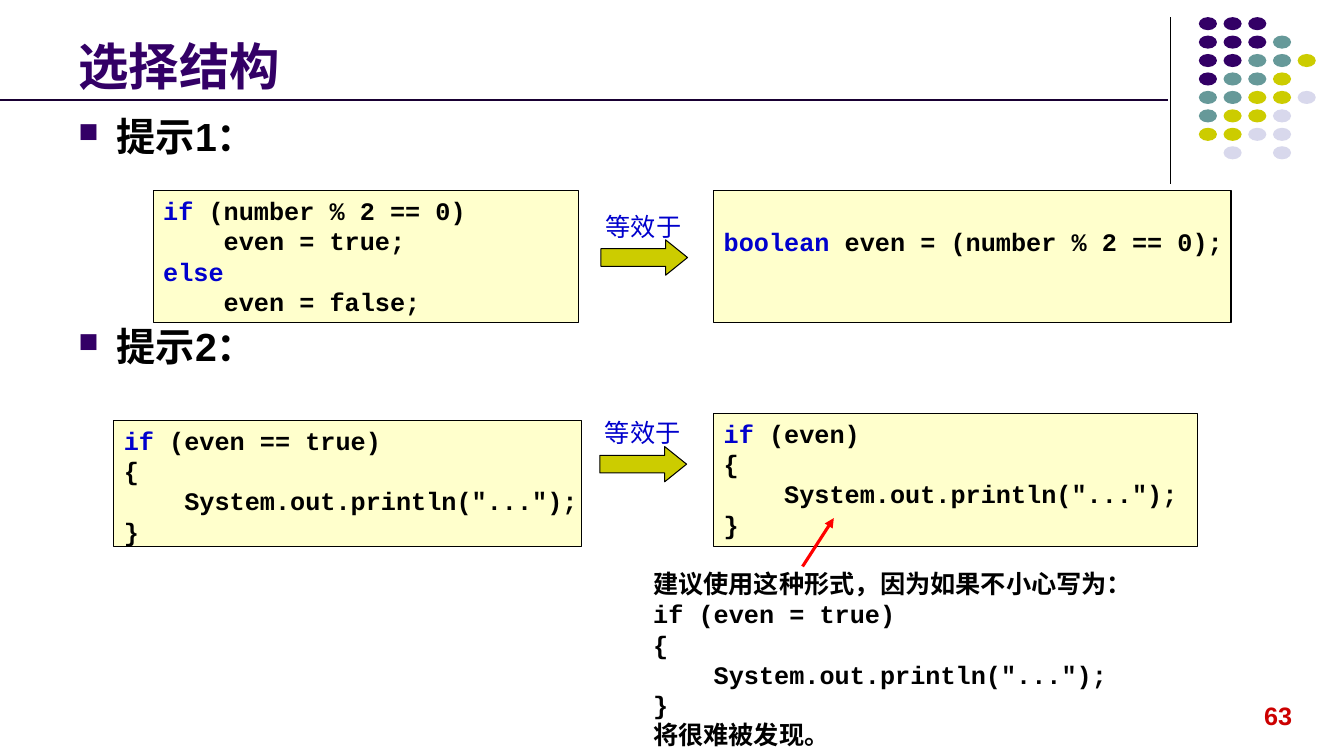
from lxml.etree import SubElement
from pptx import Presentation
from pptx.dml.color import RGBColor
from pptx.enum.shapes import MSO_CONNECTOR, MSO_SHAPE
from pptx.enum.text import MSO_ANCHOR, PP_ALIGN
from pptx.oxml.ns import qn
from pptx.util import Inches, Pt

PURPLE, TEAL, OLIVE, LILAC = "330066", "669999", "CCCC00", "D8D8EC"
BLACK, BLUE, RED, CREAM = "000000", "0000CC", "FF0000", "FFFFCC"
DOT_COLORS = {"P": PURPLE, "T": TEAL, "O": OLIVE, "L": LILAC}
DOT_ROWS = ["PPP", "PPPT", "PPTTO", "PTTO", "TTOOL", "TOOL", "OOLL", " L L"]
KEYWORDS = ("if", "else", "boolean")

HEADING = {"name": "Arial", "size": Pt(36), "bold": True, "color": PURPLE}
HINT = {"name": "Arial", "size": Pt(28), "bold": True, "color": BLACK}
CODE = {"name": "Courier New", "size": Pt(18), "bold": True, "color": BLACK}
KEYWORD = {**CODE, "color": BLUE}
REMARK = {**CODE, "name": "Arial"}
LABEL = {**REMARK, "bold": False, "color": BLUE}
PAGE = {**REMARK, "color": "CC0000"}


def rgb(value):
    return RGBColor.from_string(value)


def set_all(target, values):
    for key, value in values.items():
        setattr(target, key, value)


def highlight(line):
    """Split a code line into runs, with a leading keyword in blue."""
    word = line.split(" ")[0]
    if word not in KEYWORDS:
        return [(line, CODE)]
    rest = line[len(word):]
    return [(word, KEYWORD)] + ([(rest, CODE)] if rest else [])


class Page:
    """A slide measured in grid cells of a tenth of an inch."""

    def __init__(self, slide):
        self.shapes = slide.shapes

    def cells(self, *counts):
        return [Inches(count / 10) for count in counts]

    def fill_text(self, frame, lines, **layout):
        """Fill a frame; each line is a list of (text, format) runs."""
        set_all(frame, layout)
        for number, runs in enumerate(lines):
            paragraph = frame.add_paragraph() if number else frame.paragraphs[0]
            paragraph.alignment = PP_ALIGN.LEFT
            for text, style in runs:
                run = paragraph.add_run()
                run.text = text
                set_all(run.font, {k: v for k, v in style.items() if k != "color"})
                run.font.color.rgb = rgb(style["color"])

    def text(self, box, lines, **layout):
        frame = self.shapes.add_textbox(*self.cells(*box)).text_frame
        self.fill_text(frame, lines, **{"word_wrap": True, **layout})
        return frame

    def shape(self, preset, box, fill, outline=None):
        item = self.shapes.add_shape(preset, *self.cells(*box))
        item.shadow.inherit = False
        item.fill.solid()
        item.fill.fore_color.rgb = rgb(fill)
        if outline:
            item.line.color.rgb = rgb(outline)
            item.line.width = Pt(0.75)
        else:
            item.line.fill.background()
        return item

    def code(self, box, source, top=0.5):
        panel = self.shape(MSO_SHAPE.RECTANGLE, box, CREAM, BLACK)
        self.fill_text(panel.text_frame, [highlight(line) for line in source],
                       word_wrap=False, vertical_anchor=MSO_ANCHOR.TOP,
                       margin_top=self.cells(top)[0])

    def line(self, ends, color, width, arrow=False):
        rule = self.shapes.add_connector(MSO_CONNECTOR.STRAIGHT, *self.cells(*ends))
        rule.line.color.rgb = rgb(color)
        rule.line.width = Pt(width)
        properties = rule._element.spPr
        if arrow:
            SubElement(properties.find(qn("a:ln")), qn("a:tailEnd"), type="triangle")
        SubElement(properties, qn("a:effectLst"))

    def equivalence(self, left, top):
        """Draw a block arrow with its label above."""
        self.text((left - 0.5, top - 3.35, 9.5, 4),
                  [[("等效于", LABEL)]], word_wrap=False)
        arrow = self.shape(MSO_SHAPE.RIGHT_ARROW, (left, top, 8.6, 3.5), OLIVE, BLACK)
        arrow.adjustments[1] = 0.62

    def hints(self, box, items, gap):
        frame = self.text(box, [[(item, HINT)] for item in items])
        indent = Inches(0.38)
        for number, paragraph in enumerate(frame.paragraphs):
            paragraph.space_before = Pt(gap if number else 0)
            properties = paragraph._p.get_or_add_pPr()
            properties.set("marL", str(indent))
            properties.set("indent", str(-indent))
            color = SubElement(properties, qn("a:buClr"))
            SubElement(color, qn("a:srgbClr"), val=PURPLE)
            SubElement(properties, qn("a:buSzPct"), val="70000")
            SubElement(properties, qn("a:buChar"), char="■")

    def dots(self, left, top, column, row):
        for r, pattern in enumerate(DOT_ROWS):
            for c, mark in enumerate(pattern):
                if mark in DOT_COLORS:
                    box = (left + c * column, top + r * row, 1.8, 1.3)
                    self.shape(MSO_SHAPE.OVAL, box, DOT_COLORS[mark])


def main():
    deck = Presentation()
    deck.slide_width, deck.slide_height = Inches(13.33), Inches(7.5)
    page = Page(deck.slides.add_slide(deck.slide_layouts[6]))

    page.line((116.1, 1.7, 116.1, 18.3), BLACK, 0.75)
    page.dots(118.9, 1.7, 2.45, 1.83)
    page.text((124.4, 69, 5.1, 4), [[("63", PAGE)]], word_wrap=False)
    page.hints((6.8, 10.7, 108, 32), ["提示1：", "提示2："], gap=116)

    page.code((15.2, 18.9, 42.2, 13.1),
              ["if (number % 2 == 0)", "    even = true;", "else", "    even = false;"])
    page.equivalence(59.6, 23.8)
    page.code((70.8, 18.9, 51.3, 13.1), ["boolean even = (number % 2 == 0);"], top=3.5)

    block = ["{", '    System.out.println("...");', "}"]
    page.code((11.3, 41.7, 46.4, 12.5), ["if (even == true)", *block])
    page.equivalence(59.5, 44.3)
    page.code((70.8, 41, 48, 13.2), ["if (even)", *block])

    mistake = [[(line, CODE)] for line in ["if (even = true)", *block]]
    page.text((63.8, 55.9, 52.3, 19.2),
              [[("建议使用这种形式，因为如果不小心写为：", REMARK)],
               *mistake, [("将很难被发现。", REMARK)]])
    page.line((79.6, 56.2, 82.7, 51.4), RED, 2.25, arrow=True)

    page.text((6.8, 2.1, 110, 7.9), [[("选择结构", HEADING)]],
              vertical_anchor=MSO_ANCHOR.BOTTOM)
    page.line((0, 9.9, 115.8, 9.9), "190033", 1.5)
    deck.save("out.pptx")


if __name__ == "__main__":
    main()
